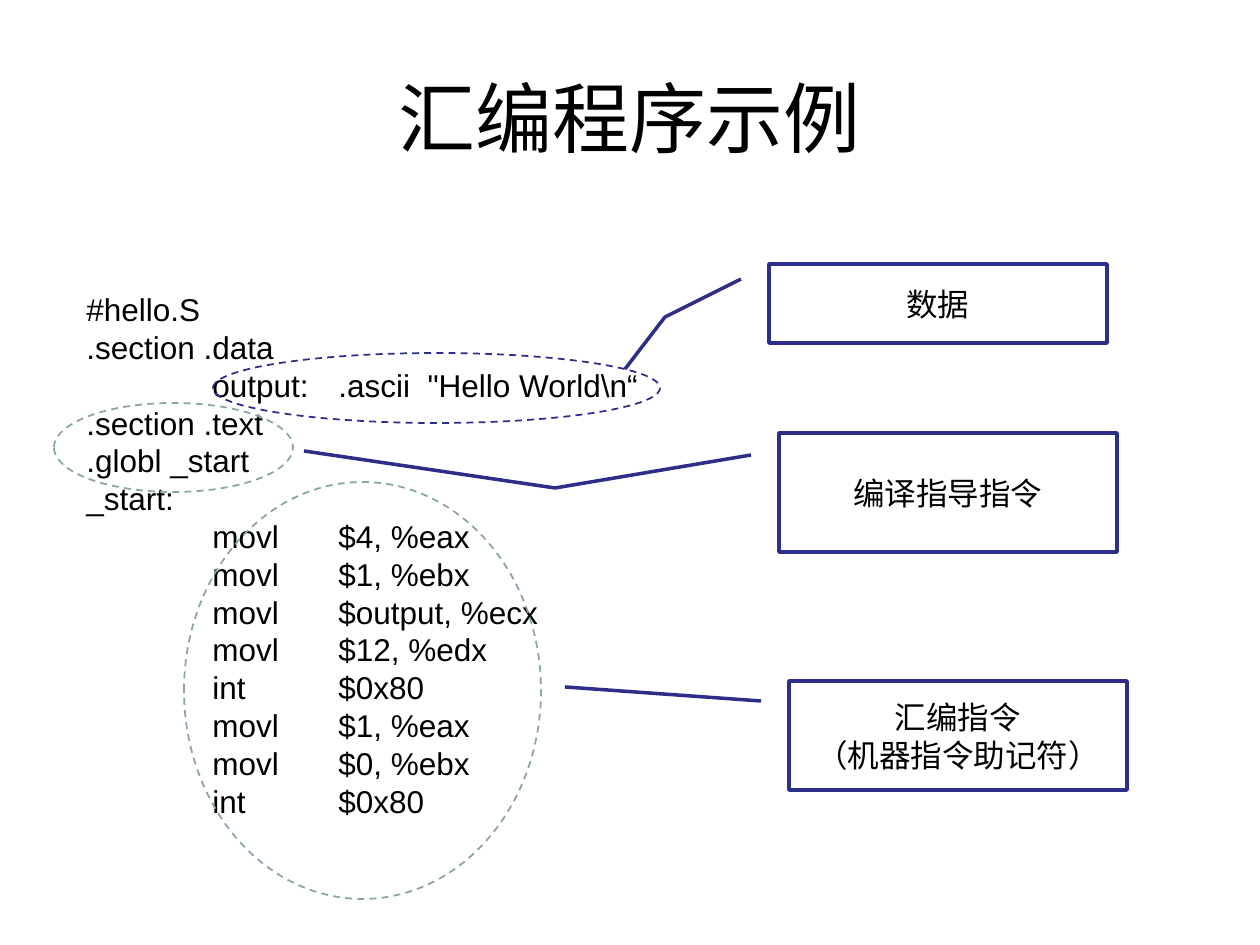
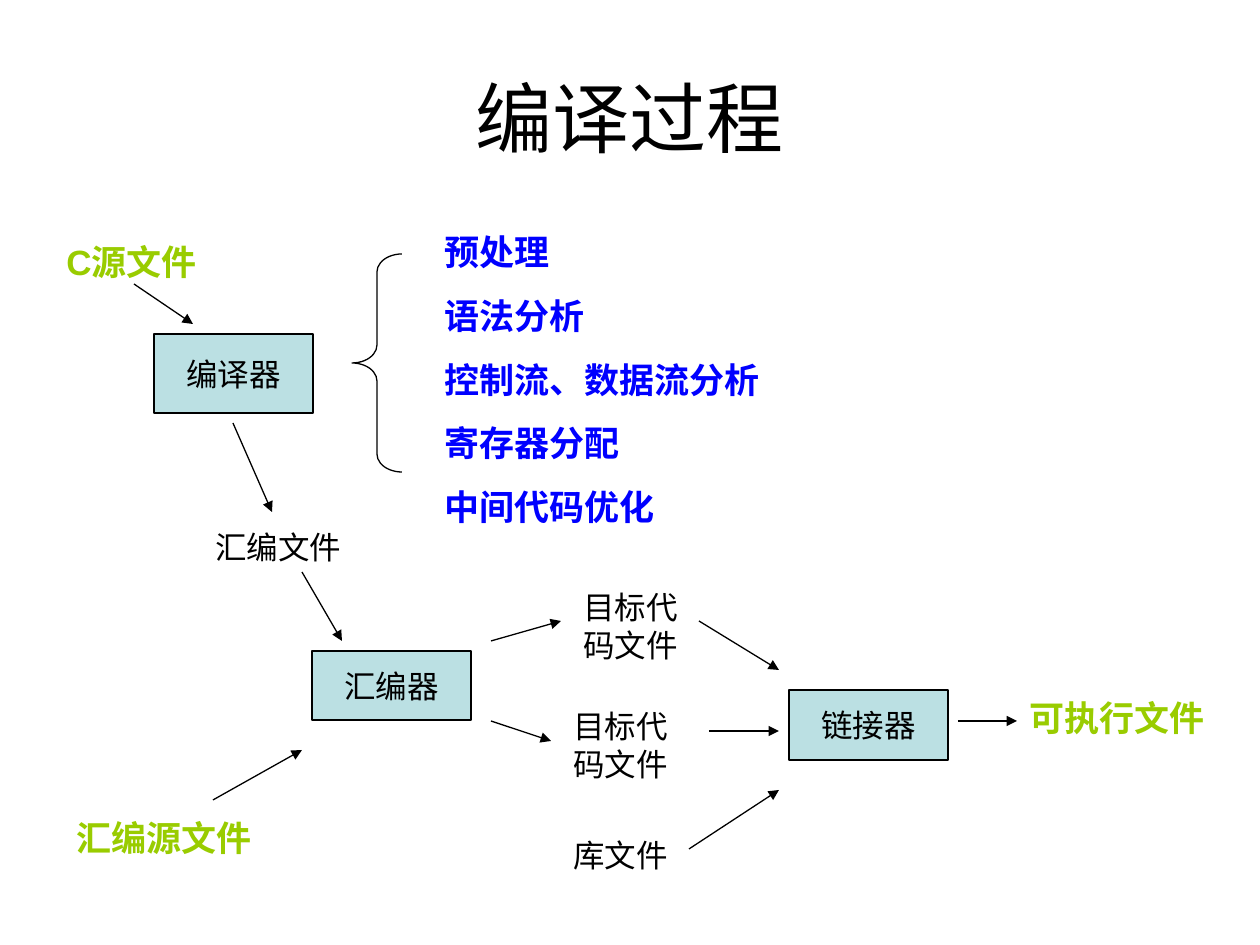
from dataclasses import dataclass

from lxml.etree import SubElement
from pptx import Presentation
from pptx.dml.color import RGBColor
from pptx.enum.dml import MSO_LINE
from pptx.enum.shapes import MSO_CONNECTOR, MSO_SHAPE as Preset
from pptx.enum.text import MSO_ANCHOR as Anchor, PP_ALIGN as Align
from pptx.oxml.ns import qn
from pptx.util import Emu, Pt

PX_PER_INCH = 126
SLIDE_SIZE = (1260, 945)


def px(length):
    return Emu(round(length * 914400 / PX_PER_INCH))


@dataclass(frozen=True)
class Theme:
    font: str = "Arial"
    ink: str = "000000"
    paper: str = "FFFFFF"
    navy: str = "2D2D8A"
    sage: str = "89A4A7"
    tool: str = "BBE0E3"
    endpoint: str = "99CC00"
    phase: str = "0000FF"
    title_size: float = 44
    strong_size: float = 20
    body_size: float = 18
    phase_gap: float = 12.5
    thin: float = 0.75
    dashed: float = 1
    thick: float = 2


class Deck:
    def __init__(self, theme):
        self.theme = theme
        self.deck_file = Presentation()
        self.deck_file.slide_width, self.deck_file.slide_height = map(px, SLIDE_SIZE)
        self.slide = None

    def new_slide(self, title):
        blank = self.deck_file.slide_layouts[6]
        self.slide = self.deck_file.slides.add_slide(blank)
        self.text((63, 38, 1134, 158), [title], size=self.theme.title_size,
                  align=Align.CENTER, anchor=Anchor.MIDDLE)

    def fill_frame(self, frame, lines, size=None, color=None, bold=False,
                   align=Align.LEFT, anchor=Anchor.TOP, gap=0, tabs=()):
        frame.word_wrap = True
        frame.vertical_anchor = anchor
        for index, line in enumerate(lines):
            paragraph = frame.add_paragraph() if index else frame.paragraphs[0]
            paragraph.text = line
            paragraph.alignment = align
            if index and gap:
                paragraph.space_before = Pt(gap)
            if tabs:
                stops = SubElement(paragraph._p.get_or_add_pPr(), qn("a:tabLst"))
                for stop in tabs:
                    SubElement(stops, qn("a:tab"), pos=str(px(stop)), algn="l")
            font = paragraph.font
            font.name = self.theme.font
            font.size = Pt(size or self.theme.body_size)
            font.bold = bold
            font.color.rgb = RGBColor.from_string(color or self.theme.ink)

    def text(self, box, lines, **style):
        frame = self.slide.shapes.add_textbox(*map(px, box)).text_frame
        self.fill_frame(frame, lines, **style)

    def strong(self, box, lines, color, gap=0):
        self.text(box, lines, size=self.theme.strong_size, color=color,
                  bold=True, gap=gap)

    def shape(self, preset, box, color, width, fill=None, lines=()):
        shape = self.slide.shapes.add_shape(preset, *map(px, box))
        shape.shadow.inherit = False
        if fill:
            shape.fill.solid()
            shape.fill.fore_color.rgb = RGBColor.from_string(fill)
        else:
            shape.fill.background()
        shape.line.color.rgb = RGBColor.from_string(color)
        shape.line.width = Pt(width)
        if lines:
            self.fill_frame(shape.text_frame, lines, align=Align.CENTER,
                            anchor=Anchor.MIDDLE)
        return shape

    def callout(self, preset, box, leader, lines):
        """Leader points are slide positions, from the box outwards."""
        shape = self.shape(preset, box, self.theme.navy, self.theme.thick,
                           self.theme.paper, lines)
        left, top, width, height = box
        for index, (x, y) in enumerate(leader):
            shape.adjustments[2 * index] = (y - top) / height
            shape.adjustments[2 * index + 1] = (x - left) / width

    def ring(self, box, color):
        ellipse = self.shape(Preset.OVAL, box, color, self.theme.dashed)
        ellipse.line.dash_style = MSO_LINE.DASH

    def tool(self, box, label):
        self.shape(Preset.FLOWCHART_PROCESS, box, self.theme.ink,
                   self.theme.thin, self.theme.tool, [label])

    def arrow(self, *ends):
        arrow = self.slide.shapes.add_connector(MSO_CONNECTOR.STRAIGHT,
                                                *map(px, ends))
        arrow.line.color.rgb = RGBColor.from_string(self.theme.ink)
        arrow.line.width = Pt(self.theme.thin)
        properties = arrow._element.spPr
        SubElement(properties.find(qn("a:ln")), qn("a:tailEnd"), type="triangle")
        SubElement(properties, qn("a:effectLst"))


HELLO_CODE = r'''#hello.S
.section .data
	output:	.ascii  "Hello World\n“
.section .text
.globl _start
_start:
	movl	$4, %eax
	movl	$1, %ebx
	movl	$output, %ecx
	movl	$12, %edx
	int	$0x80
	movl	$1, %eax
	movl	$0, %ebx
	int	$0x80'''


def assembly_example(deck):
    theme = deck.theme
    deck.new_slide("汇编程序示例")
    deck.text((74, 284, 645, 542), HELLO_CODE.split("\n"),
              tabs=[PX_PER_INCH * n for n in range(1, 4)])

    # Explanations with leaders to the code
    deck.callout(Preset.LINE_CALLOUT_2, (769, 264, 338, 79),
                 [(741, 279), (665, 317), (625, 369)], ["数据"])
    deck.callout(Preset.LINE_CALLOUT_2, (779, 433, 338, 119),
                 [(751, 455), (555, 488), (304, 451)], ["编译指导指令"])
    deck.callout(Preset.LINE_CALLOUT_1, (789, 681, 338, 109),
                 [(761, 701), (565, 687)], ["汇编指令", "（机器指令助记符）"])

    # Rings around the code parts
    deck.ring((184, 482, 357, 417), theme.sage)
    deck.ring((54, 403, 239, 89), theme.sage)
    deck.ring((213, 353, 447, 70), theme.navy)


def compile_process(deck):
    theme = deck.theme
    deck.new_slide("编译过程")

    # Tools
    deck.tool((154, 334, 159, 79), "编译器")
    deck.tool((312, 651, 159, 69), "汇编器")
    deck.tool((789, 690, 159, 70), "链接器")

    # Source and final files
    for box, label in [((54, 234, 169, 55), "C源文件"),
                       ((64, 810, 218, 55), "汇编源文件"),
                       ((1017, 690, 208, 55), "可执行文件")]:
        deck.strong(box, [label], theme.endpoint)

    # Intermediate files
    for box, label in [((203, 522, 179, 50), "汇编文件"),
                       ((571, 582, 139, 88), "目标代码文件"),
                       ((561, 701, 129, 88), "目标代码文件"),
                       ((561, 830, 139, 50), "库文件")]:
        deck.text(box, [label])

    # Flow
    for ends in [(134, 284, 193, 324), (233, 423, 272, 512),
                 (302, 572, 342, 641), (213, 800, 302, 750),
                 (491, 641, 561, 621), (491, 721, 551, 741),
                 (709, 731, 779, 731), (699, 621, 779, 670),
                 (689, 849, 779, 790), (958, 721, 1017, 721)]:
        deck.arrow(*ends)

    # Compiler phases
    brace = deck.shape(Preset.LEFT_BRACE, (352, 254, 50, 218), theme.ink,
                       theme.thin)
    brace.adjustments[0] = 0.36
    deck.strong((432, 224, 348, 310),
                ["预处理", "语法分析", "控制流、数据流分析", "寄存器分配",
                 "中间代码优化"], theme.phase, theme.phase_gap)


def main():
    deck = Deck(Theme())
    assembly_example(deck)
    compile_process(deck)
    deck.deck_file.save("out.pptx")


if __name__ == "__main__":
    main()
